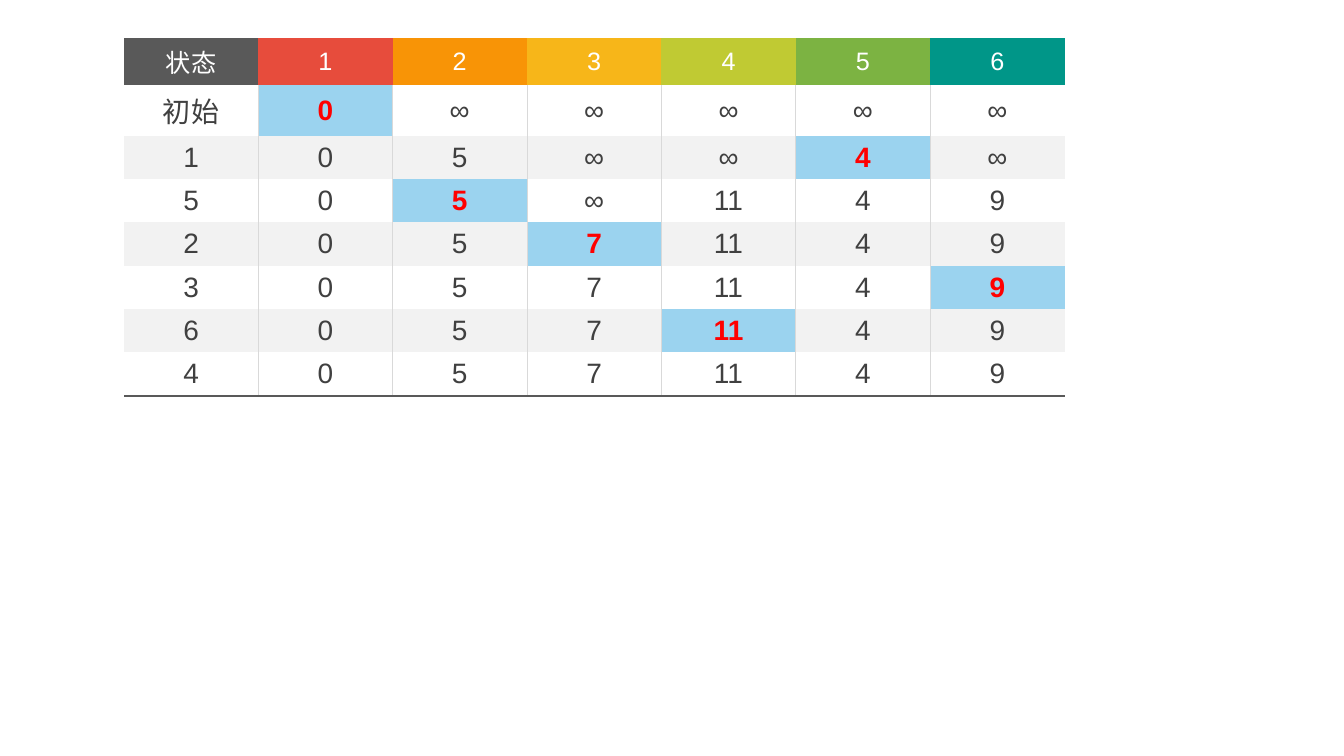
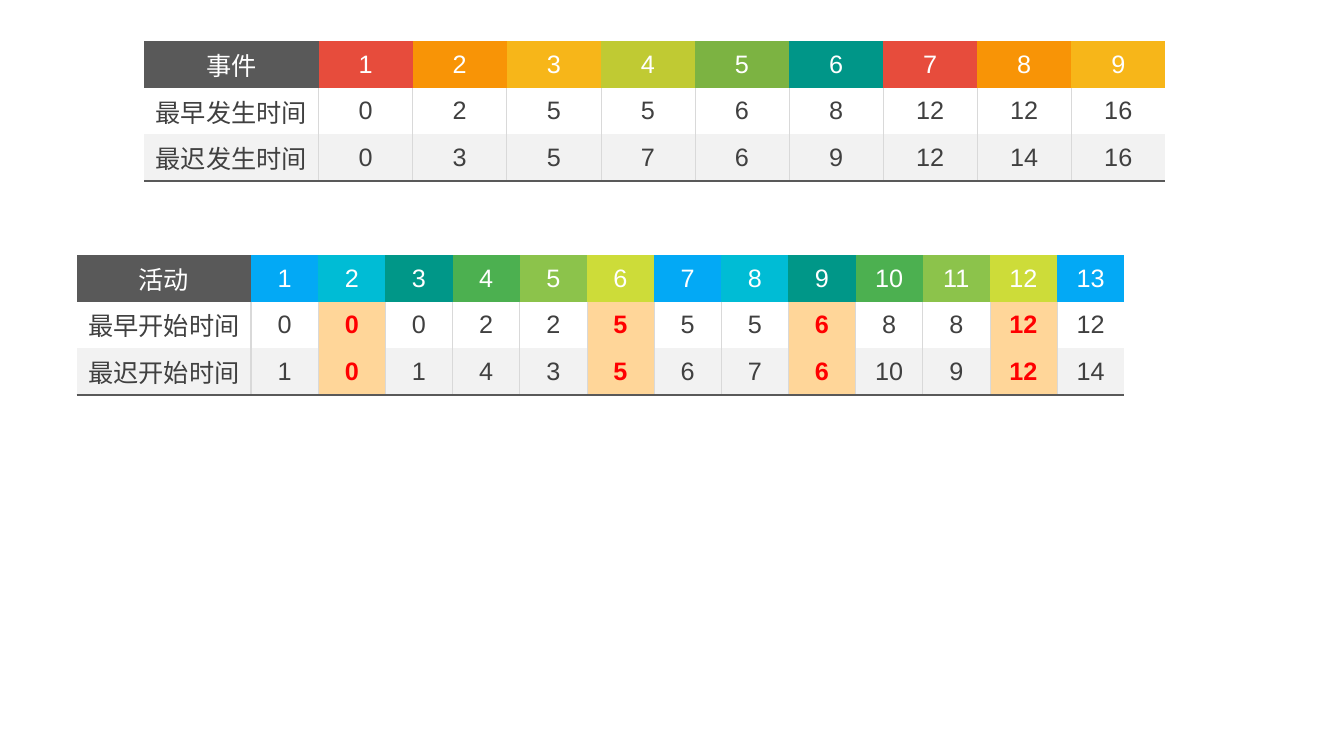
from dataclasses import dataclass

from lxml.etree import SubElement
from pptx import Presentation
from pptx.dml.color import RGBColor
from pptx.enum.text import MSO_ANCHOR, PP_ALIGN
from pptx.oxml.ns import qn
from pptx.slide import Slide
from pptx.table import _Cell
from pptx.util import Inches, Pt

FONT = "Arial"
HEADER_SIZE = 18
NO_STYLE_NO_GRID = "{2D5ABB26-0587-4C30-8999-92F81FD0307C}"

WHITE = RGBColor(0xFF, 0xFF, 0xFF)
BAND_GRAY = RGBColor(0xF2, 0xF2, 0xF2)
GRID_GRAY = RGBColor(0xD9, 0xD9, 0xD9)
DARK_GRAY = RGBColor(0x59, 0x59, 0x59)
TEXT_GRAY = RGBColor(0x40, 0x40, 0x40)
RED = RGBColor(0xFF, 0x00, 0x00)
LIGHT_BLUE = RGBColor(0x9B, 0xD3, 0xEF)
LIGHT_ORANGE = RGBColor(0xFF, 0xD6, 0x99)

WARM_COLORS = (
    RGBColor(0xE7, 0x4C, 0x3C),
    RGBColor(0xF8, 0x94, 0x06),
    RGBColor(0xF7, 0xB6, 0x19),
    RGBColor(0xC0, 0xCA, 0x33),
    RGBColor(0x7C, 0xB3, 0x42),
    RGBColor(0x00, 0x96, 0x88),
)
COOL_COLORS = (
    RGBColor(0x03, 0xA9, 0xF5),
    RGBColor(0x00, 0xBC, 0xD5),
    RGBColor(0x00, 0x97, 0x88),
    RGBColor(0x4C, 0xB0, 0x50),
    RGBColor(0x8C, 0xC3, 0x4B),
    RGBColor(0xCD, 0xDC, 0x39),
)


@dataclass(frozen=True)
class Grid:
    """A table with numbered columns; each row is its label and its values."""

    left: float
    top: float
    width: float
    label_width: float
    row_height: float
    title: str
    rows: tuple[tuple[str, str], ...]
    header_colors: tuple[RGBColor, ...]
    marked: frozenset[tuple[int, int]] = frozenset()
    mark_color: RGBColor = LIGHT_BLUE
    body_size: int = 18


DISTANCE_ROWS = (
    ("初始", "0 ∞ ∞ ∞ ∞ ∞"),
    ("1", "0 5 ∞ ∞ 4 ∞"),
    ("5", "0 5 ∞ 11 4 9"),
    ("2", "0 5 7 11 4 9"),
    ("3", "0 5 7 11 4 9"),
    ("6", "0 5 7 11 4 9"),
    ("4", "0 5 7 11 4 9"),
)
# The node marked in each state is the one that names the next state.
CHOSEN_NODES = frozenset(
    (row, int(node)) for row, (node, _) in enumerate(DISTANCE_ROWS[1:], start=1)
)
CRITICAL_ACTIVITIES = (2, 6, 9, 12)

SHORTEST_PATHS = Grid(
    1.23, 0.38, 9.33, 1.33, 0.43, "状态", DISTANCE_ROWS, WARM_COLORS,
    marked=CHOSEN_NODES, body_size=20,
)
EVENT_TIMES = Grid(
    1.43, 0.41, 10.13, 1.73, 0.41, "事件",
    (
        ("最早发生时间", "0 2 5 5 6 8 12 12 16"),
        ("最迟发生时间", "0 3 5 7 6 9 12 14 16"),
    ),
    WARM_COLORS,
)
ACTIVITY_TIMES = Grid(
    0.76, 2.53, 10.39, 1.73, 0.41, "活动",
    (
        ("最早开始时间", "0 0 0 2 2 5 5 5 6 8 8 12 12"),
        ("最迟开始时间", "1 0 1 4 3 5 6 7 6 10 9 12 14"),
    ),
    COOL_COLORS,
    marked=frozenset((row, col) for row in (1, 2) for col in CRITICAL_ACTIVITIES),
    mark_color=LIGHT_ORANGE,
)
SLIDES = ((SHORTEST_PATHS,), (EVENT_TIMES, ACTIVITY_TIMES))


def add_border(cell: _Cell, side: str, color: RGBColor, points: float) -> None:
    """Add one edge (L, R, T or B); call in that order and before the fill."""
    properties = cell._tc.get_or_add_tcPr()
    line = SubElement(properties, qn(f"a:ln{side}"), w=str(int(Pt(points))))
    fill = SubElement(line, qn("a:solidFill"))
    SubElement(fill, qn("a:srgbClr"), val=str(color))


def add_body_borders(cell: _Cell, col: int, last_col: int, is_last_row: bool) -> None:
    if col > 0:
        add_border(cell, "L", GRID_GRAY, 1 if col == 1 else 0.5)
    if col < last_col:
        add_border(cell, "R", GRID_GRAY, 1 if col == 0 else 0.5)
    if is_last_row:
        add_border(cell, "B", DARK_GRAY, 1.5)


def write_cell(
    cell: _Cell, text: str, size: int, color: RGBColor, fill: RGBColor, bold: bool = False
) -> None:
    cell.fill.solid()
    cell.fill.fore_color.rgb = fill
    cell.vertical_anchor = MSO_ANCHOR.MIDDLE
    paragraph = cell.text_frame.paragraphs[0]
    paragraph.text = text
    paragraph.alignment = PP_ALIGN.CENTER
    paragraph.font.name = FONT
    paragraph.font.size = Pt(size)
    paragraph.font.bold = bold
    paragraph.font.color.rgb = color


def draw_grid(slide: Slide, grid: Grid) -> None:
    body = [[label, *values.split()] for label, values in grid.rows]
    last_row, last_col = len(body), len(body[0]) - 1
    frame = slide.shapes.add_table(
        last_row + 1, last_col + 1, Inches(grid.left), Inches(grid.top),
        Inches(grid.width), Inches(grid.row_height * (last_row + 1)),
    )
    table = frame.table
    table.first_row = table.horz_banding = False
    table._tbl.tblPr.find(qn("a:tableStyleId")).text = NO_STYLE_NO_GRID

    value_width = (grid.width - grid.label_width) / last_col
    for col, column in enumerate(table.columns):
        column.width = Inches(value_width if col else grid.label_width)
    for row in table.rows:
        row.height = Inches(grid.row_height)

    write_cell(table.cell(0, 0), grid.title, HEADER_SIZE, WHITE, DARK_GRAY)
    for col in range(1, last_col + 1):
        color = grid.header_colors[(col - 1) % len(grid.header_colors)]
        write_cell(table.cell(0, col), str(col), HEADER_SIZE, WHITE, color)

    for row, texts in enumerate(body, start=1):
        band = WHITE if row % 2 else BAND_GRAY
        for col, text in enumerate(texts):
            cell = table.cell(row, col)
            add_body_borders(cell, col, last_col, row == last_row)
            if (row, col) in grid.marked:
                write_cell(cell, text, grid.body_size, RED, grid.mark_color, bold=True)
            else:
                write_cell(cell, text, grid.body_size, TEXT_GRAY, band)


def main() -> None:
    presentation = Presentation()
    presentation.slide_width = Inches(13.33)
    presentation.slide_height = Inches(7.5)
    blank = presentation.slide_layouts[6]
    for grids in SLIDES:
        slide = presentation.slides.add_slide(blank)
        for grid in grids:
            draw_grid(slide, grid)
    presentation.save("out.pptx")


if __name__ == "__main__":
    main()
